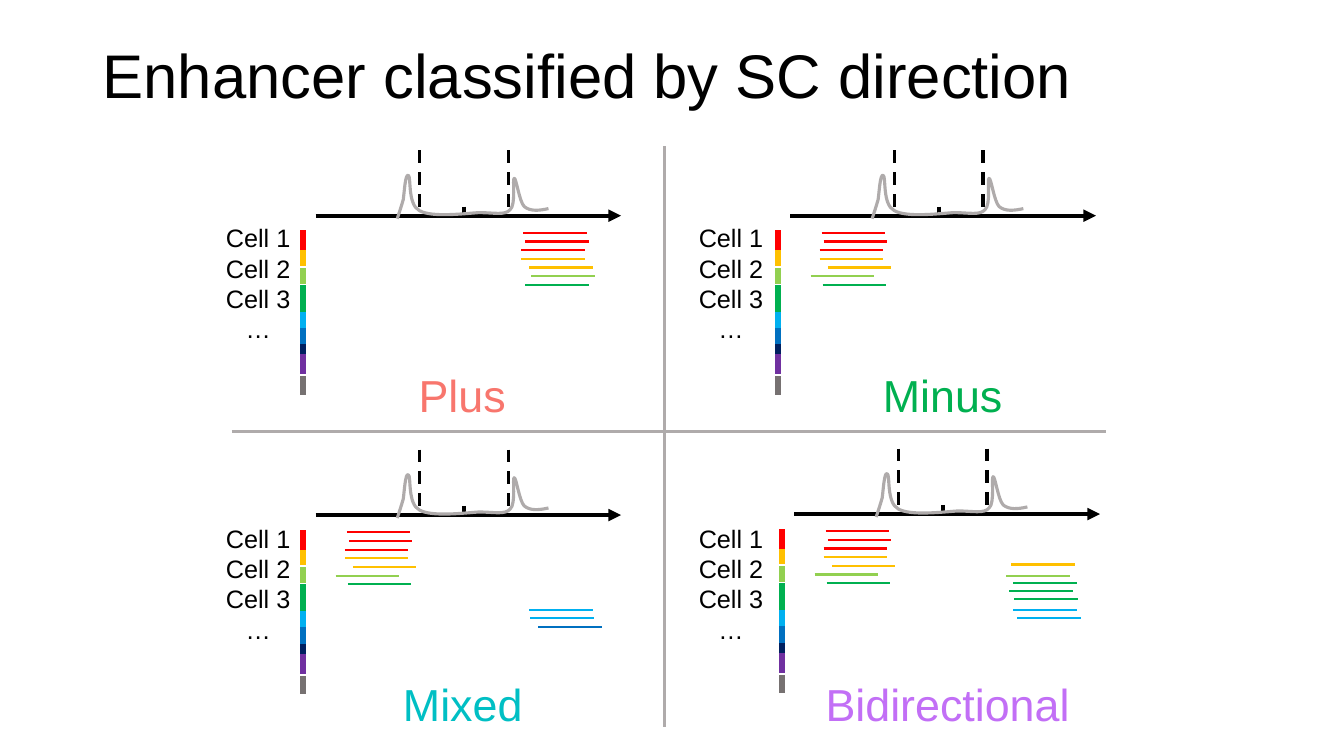
from math import cos, radians, sin

from lxml import etree
from pptx import Presentation
from pptx.dml.color import RGBColor
from pptx.enum.dml import MSO_LINE
from pptx.enum.shapes import MSO_CONNECTOR, MSO_SHAPE
from pptx.enum.text import MSO_ANCHOR, PP_ALIGN
from pptx.oxml.ns import qn
from pptx.util import Inches, Pt

STRAIGHT = MSO_CONNECTOR.STRAIGHT
RECTANGLE = MSO_SHAPE.RECTANGLE
DASH = MSO_LINE.DASH
TOP = MSO_ANCHOR.TOP
LEFT, CENTER = PP_ALIGN.LEFT, PP_ALIGN.CENTER

COLORS = {
    "black": "000000", "gray": "AFABAB", "dark gray": "767171",
    "red": "FF0000", "amber": "FFC000", "lime": "92D050", "green": "00B050",
    "sky": "00B0F0", "blue": "0070C0", "navy": "002060", "purple": "7030A0",
    "plus": "F8766D", "mixed": "00BFC4", "bidirectional": "C26FF6",
}

AXIS_LENGTH, READ_LENGTH, READ_STEP = 3.03, 0.63, 0.086
BAR_LEFT, BAR_WIDTH = -0.14, 0.03
BARS = [
    (0.16, 0.17, "red"), (0.36, 0.12, "amber"), (0.53, 0.13, "lime"),
    (0.70, 0.24, "green"), (0.97, 0.13, "sky"), (1.13, 0.13, "blue"),
    (1.29, 0.07, "navy"), (1.39, 0.17, "purple"), (1.61, 0.03, "dark gray"),
    (1.67, 0.03, "dark gray"), (1.73, 0.03, "dark gray"),
]
CURVE_TILT = -3.3
CURVE_CENTER = (1.55, -0.22)
CURVE = [
    (0.81, 0.03),
    (0.83, -0.03), (0.85, -0.09), (0.87, -0.16),
    (0.88, -0.23), (0.89, -0.42), (0.92, -0.40),
    (0.95, -0.39), (0.91, -0.11), (1.03, -0.05),
    (1.15, 0.02), (1.47, -0.02), (1.62, -0.03),
    (1.77, -0.03), (1.88, 0.00), (1.93, -0.06),
    (1.99, -0.11), (1.95, -0.37), (1.97, -0.37),
    (1.99, -0.38), (2.02, -0.14), (2.07, -0.09),
    (2.13, -0.04), (2.22, -0.05), (2.31, -0.07),
]

READ_COLORS = ["red", "red", "red", "amber", "amber", "lime", "green"]
MINUS_LEFTS = [0.31, 0.33, 0.29, 0.29, 0.37, 0.20, 0.32]
PLUS_LEFTS = [2.06, 2.08, 2.04, 2.04, 2.12, 2.14, 2.08]
MIXED_READS = [(2.12, 0.94, "sky"), (2.13, 1.02, "sky"), (2.21, 1.11, "blue")]
BIDIRECTIONAL_READS = [
    (2.15, 0.50, "amber"), (2.10, 0.61, "lime"), (2.18, 0.84, "green"),
    (2.13, 0.76, "green"), (2.17, 0.68, "green"), (2.17, 0.95, "sky"),
    (2.21, 1.03, "sky"),
]
PANELS = [
    ("Plus", "plus", 3.13, 2.14, PLUS_LEFTS, [], (1.80, 2.16), (4.05, 3.60, 1.07)),
    ("Minus", "green", 7.84, 2.14, MINUS_LEFTS, [], (6.49, 2.16), (8.65, 3.60, 1.40)),
    ("Mixed", "mixed", 3.13, 5.11, MINUS_LEFTS, MIXED_READS, (1.80, 5.14), (3.89, 6.66, 1.40)),
    ("Bidirectional", "bidirectional", 7.88, 5.10, MINUS_LEFTS, BIDIRECTIONAL_READS,
     (6.49, 5.14), (8.08, 6.66, 2.64)),
]


def add_line(shapes, start, end, color, width, dash=None, arrow=False):
    connector = shapes.add_connector(STRAIGHT, *(Inches(value) for value in (*start, *end)))
    connector.line.color.rgb = RGBColor.from_string(COLORS[color])
    connector.line.width = Pt(width)
    if dash:
        connector.line.dash_style = dash
    properties = connector._element.spPr
    if arrow:
        etree.SubElement(properties.find(qn("a:ln")), qn("a:tailEnd"), type="triangle")
    etree.SubElement(properties, qn("a:effectLst"))


def add_text(box, lines, size, color, align=LEFT, wrap=True, spacing=None):
    frame = slide.shapes.add_textbox(*(Inches(value) for value in box)).text_frame
    frame.word_wrap = wrap
    frame.vertical_anchor = TOP
    frame.text = "\n".join(lines)
    for paragraph in frame.paragraphs:
        paragraph.alignment = align
        paragraph.line_spacing = spacing
        paragraph.font.name = "Arial"
        paragraph.font.size = Pt(size)
        paragraph.font.color.rgb = RGBColor.from_string(COLORS[color])


presentation = Presentation()
presentation.slide_width, presentation.slide_height = Inches(13.33), Inches(7.5)
slide = presentation.slides.add_slide(presentation.slide_layouts[6])

add_text((0.92, 0.4, 11.5, 1.45), ["Enhancer classified by SC direction"], 44, "black", spacing=0.9)
add_line(slide.shapes, (2.3, 4.28), (10.97, 4.28), "gray", 2.25)
add_line(slide.shapes, (6.59, 1.45), (6.59, 7.21), "gray", 2.25)

center_x, center_y = CURVE_CENTER
cosine, sine = cos(radians(-CURVE_TILT)), sin(radians(-CURVE_TILT))
level_curve = [
    (center_x + (x - center_x) * cosine - (y - center_y) * sine,
     center_y + (x - center_x) * sine + (y - center_y) * cosine)
    for x, y in CURVE
]

for name, name_color, left, top, read_lefts, extra_reads, cells_at, name_box in PANELS:
    shapes = slide.shapes.add_group_shape().shapes
    add_line(shapes, (left, top), (left + AXIS_LENGTH, top), "black", 3, arrow=True)
    add_line(shapes, (left + 1.47, top - 0.09), (left + 1.47, top), "black", 3)
    for boundary in (1.03, 1.91):
        add_line(shapes, (left + boundary, top - 0.65), (left + boundary, top), "black", 2.25, DASH)

    for bar_top, bar_height, color in BARS:
        bar = shapes.add_shape(RECTANGLE, Inches(left + BAR_LEFT), Inches(top + bar_top),
                               Inches(BAR_WIDTH), Inches(bar_height))
        bar.shadow.inherit = False
        bar.fill.background()
        bar.line.color.rgb = RGBColor.from_string(COLORS[color])
        bar.line.width = Pt(2.25)
        etree.SubElement(bar._element.spPr.find(qn("a:ln")), qn("a:miter"), lim="800000")

    points = [(Inches(left + x), Inches(top + y)) for x, y in level_curve]
    builder = shapes.build_freeform(*points[0])
    builder.add_line_segments(points[1:], close=False)
    curve = builder.convert_to_shape()
    curve.rotation = CURVE_TILT
    curve.shadow.inherit = False
    curve.fill.background()
    curve.line.color.rgb = RGBColor.from_string(COLORS["gray"])
    curve.line.width = Pt(2.25)
    segments = list(curve._element.iter(qn("a:lnTo")))
    outline = segments[0].getparent()
    for index, segment in enumerate(segments):
        if index % 3 == 0:
            bezier = etree.SubElement(outline, qn("a:cubicBezTo"))
        bezier.append(segment[0])
        outline.remove(segment)

    reads = [(read_left, 0.17 + row * READ_STEP, color)
             for row, (read_left, color) in enumerate(zip(read_lefts, READ_COLORS))]
    for read_left, read_top, color in reads + extra_reads:
        x, y = left + read_left, top + read_top
        add_line(shapes, (x, y), (x + READ_LENGTH, y), color, 1.5)

    add_text((*cells_at, 1.52, 1.31), ["Cell 1", "Cell 2", "Cell 3", "…"], 18, "black", CENTER)
    name_left, name_top, name_width = name_box
    add_text((name_left, name_top, name_width, 0.64), [name], 32, name_color, CENTER, wrap=False)

presentation.save("out.pptx")
